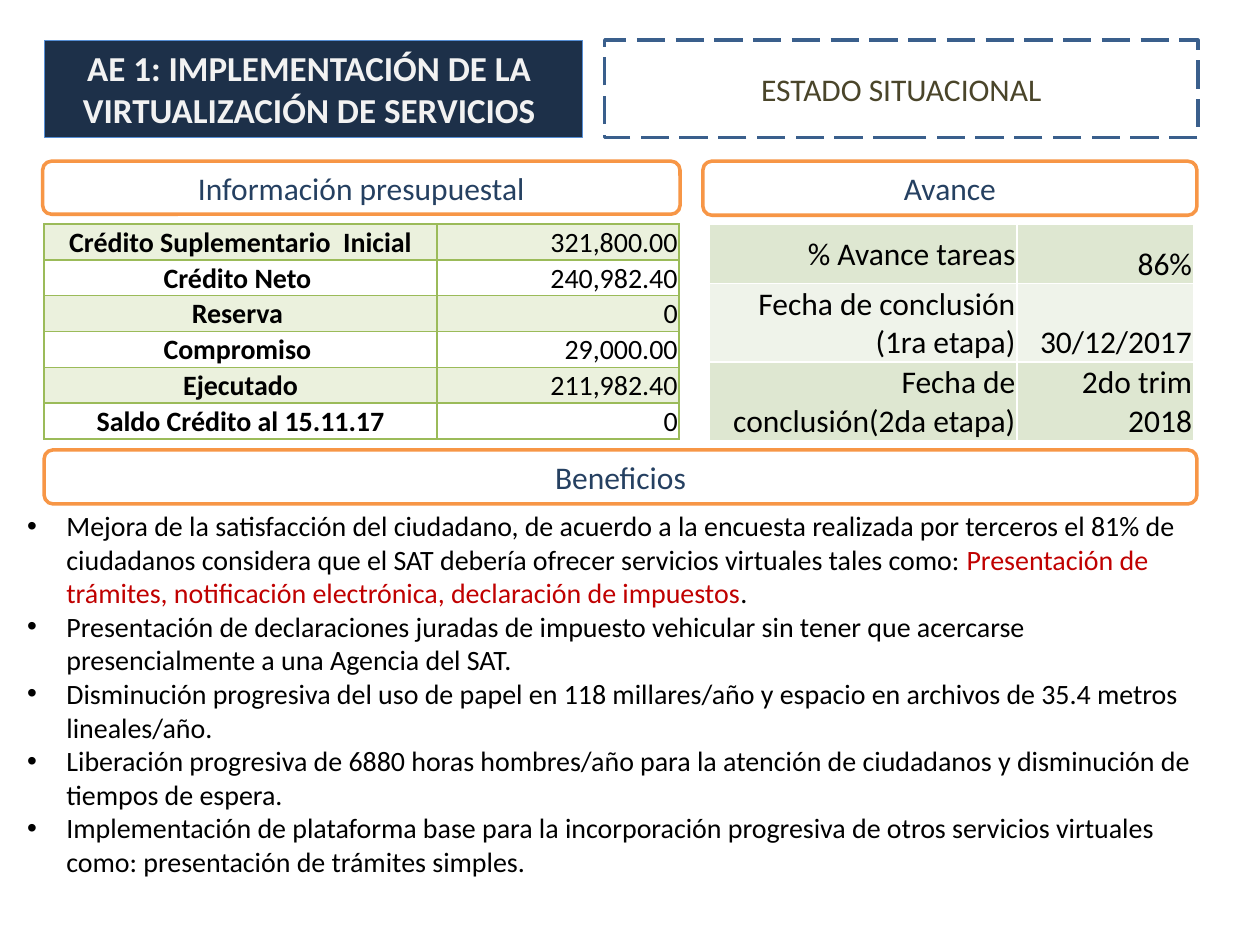
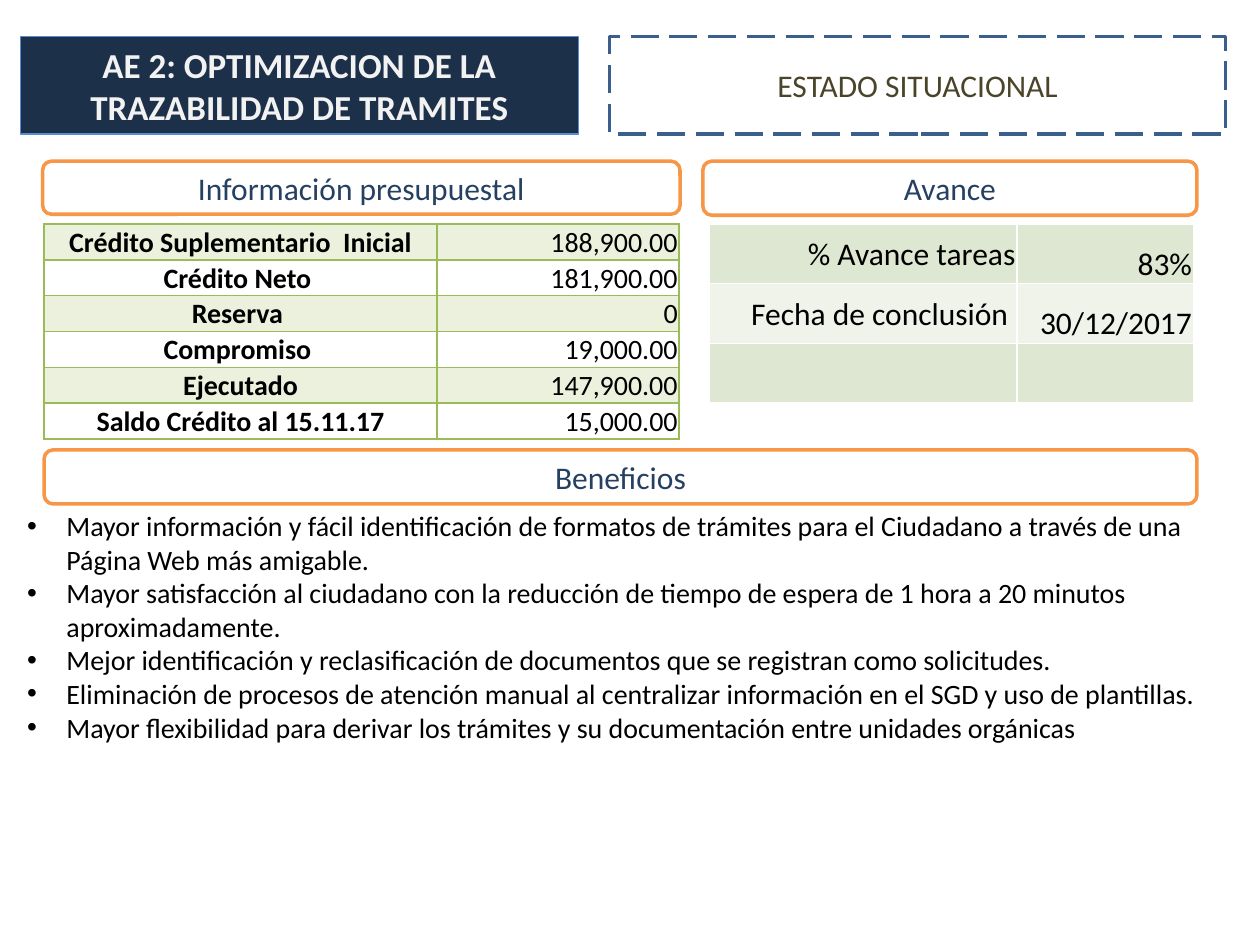
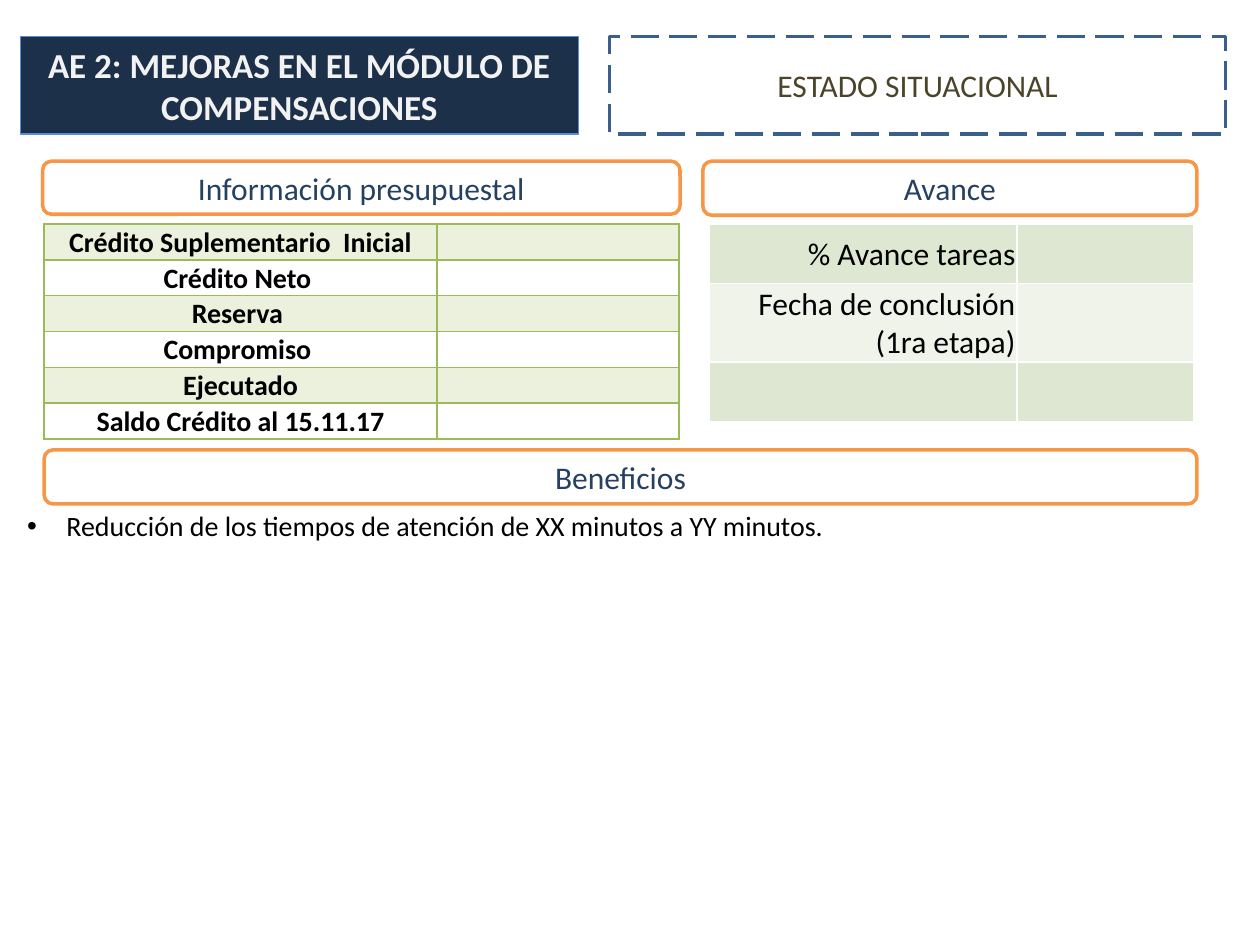
from lxml.etree import SubElement as Sub
from pptx import Presentation
from pptx.dml.color import RGBColor as Rgb
from pptx.enum.dml import MSO_LINE as Dash
from pptx.enum.shapes import MSO_SHAPE as Form
from pptx.enum.text import MSO_ANCHOR as Anchor, MSO_AUTO_SIZE as Fit, PP_ALIGN as Align
from pptx.oxml import parse_xml
from pptx.oxml.ns import nsdecls, qn
from pptx.util import Cm, Pt

FONT = "Calibri"
HUES = {
    "navy": "0F243E", "edge": "558ED5", "pale": "F2F2F2", "dash": "3A5F8C",
    "olive": "4A452A", "orange": "F79646", "blue": "254061", "green": "9BBB59",
    "sage": "DEE7D1", "mist": "EFF3EA", "white": "FFFFFF", "black": "000000",
    "red": "C00000",
}
FIRST = ((0.89, 0.81, 10.85, 1.96), (12.19, 0.81, 11.96, 1.96))
LATER = ((0.41, 0.74, 11.25, 1.96), (12.29, 0.74, 12.42, 1.96))
HEADS = (
    ("Información presupuestal", (0.86, 3.25, 12.85, 1.07)),
    ("Avance", (14.17, 3.25, 9.96, 1.09)),
    ("Beneficios", (0.89, 9.07, 23.24, 1.09)),
)
ITEMS = ("Crédito Suplementario  Inicial", "Crédito Neto ", "Reserva ",
         "Compromiso ", "Ejecutado", "Saldo Crédito al 15.11.17")
TASKS = "% Avance tareas"
STAGE = "Fecha de conclusión (1ra etapa)"

SLIDES = (
    {
        "tops": FIRST,
        "title": ("AE 1: IMPLEMENTACIÓN DE LA ", "VIRTUALIZACIÓN DE SERVICIOS "),
        "sums": ("321,800.00", "240,982.40", "0", "29,000.00", "211,982.40", "0"),
        "steps": ((TASKS, "86%"), (STAGE, "30/12/2017"),
                  ("Fecha de conclusión(2da etapa)", "2do trim 2018")),
        "tall": 7.95,
        "gains": (
            (("Mejora de la satisfacción del ciudadano, de acuerdo a la encuesta realizada por terceros el 81% de ciudadanos considera que el SAT debería ofrecer servicios virtuales tales como: ", "black"),
             ("Presentación de trámites, notificación electrónica, declaración de impuestos", "red"),
             (".", "black")),
            (("Presentación de declaraciones juradas de impuesto vehicular sin tener que acercarse presencialmente a una Agencia del SAT.", "black"),),
            (("Disminución progresiva del uso de papel en 118 millares/año y espacio en archivos de 35.4 metros lineales/año.", "black"),),
            (("Liberación progresiva de 6880 horas hombres/año para la atención de ciudadanos y disminución de tiempos de espera.", "black"),),
            (("Implementación de plataforma base para la incorporación progresiva de otros servicios virtuales como: presentación de trámites simples.", "black"),),
        ),
    },
    {
        "tops": LATER,
        "title": ("AE 2: OPTIMIZACION DE LA TRAZABILIDAD DE TRAMITES",),
        "sums": ("188,900.00", "181,900.00", "0", "19,000.00", "147,900.00", "15,000.00"),
        "steps": ((TASKS, "83%"), ("Fecha de conclusión ", "30/12/2017"), ("", "")),
        "tall": 5.05,
        "gains": (
            (("Mayor información y fácil identificación de formatos de trámites para el Ciudadano a través de una Página Web más amigable.", "black"),),
            (("Mayor satisfacción al ciudadano con la reducción de tiempo de espera de 1 hora a 20 minutos aproximadamente.", "black"),),
            (("Mejor identificación y reclasificación de documentos que se registran como solicitudes.", "black"),),
            (("Eliminación de procesos de atención manual al centralizar información en el SGD y uso de plantillas.", "black"),),
            (("Mayor flexibilidad para derivar los trámites y su documentación entre unidades orgánicas", "black"),),
        ),
    },
    {
        "tops": LATER,
        "title": ("AE 2: MEJORAS EN EL MÓDULO DE COMPENSACIONES",),
        "sums": ("",) * 6,
        "steps": ((TASKS, ""), (STAGE, ""), ("", "")),
        "tall": 0.94,
        "gains": ((("Reducción de los tiempos de atención de XX minutos a YY minutos.", "black"),),),
    },
)


def hue(name):
    """Return the named colour."""
    return Rgb.from_string(HUES[name])


def place(box):
    """Turn a box in centimetres into lengths."""
    return [Cm(n) for n in box]


def write(para, text, size, tint, bold=False):
    """Add one formatted run to a paragraph."""
    run = para.add_run()
    run.text = text
    font = run.font
    font.name, font.size, font.bold = FONT, Pt(size), bold
    font.color.rgb = hue(tint)


def paint(fill, tint, props, alpha=100):
    """Fill with a colour, partly transparent if alpha is below 100."""
    fill.solid()
    fill.fore_color.rgb = hue(tint)
    if alpha < 100:
        Sub(props.find(qn("a:solidFill"))[0], qn("a:alpha"), val=str(alpha * 1000))


def rule(line, tint, width):
    """Set the colour and width of an outline."""
    line.color.rgb = hue(tint)
    line.width = Pt(width)


def head(slide, lines, box):
    """Format the title as a dark panel."""
    title = slide.shapes.title
    title.left, title.top, title.width, title.height = place(box)
    paint(title.fill, "navy", title._element.spPr, 94)
    rule(title.line, "edge", 0.75)
    frame = title.text_frame
    frame.auto_size, frame.word_wrap = Fit.NONE, True
    frame.vertical_anchor = Anchor.MIDDLE
    for i, text in enumerate(lines):
        para = frame.add_paragraph() if i else frame.paragraphs[0]
        para.alignment = Align.CENTER
        write(para, text, 20, "pale", True)


def panel(slide, form, text, box, tint, edge):
    """Add an outlined shape with a centred label."""
    shape = slide.shapes.add_shape(form, *place(box))
    shape.shadow.inherit = False
    rule(shape.line, edge, 2)
    frame = shape.text_frame
    frame.word_wrap, frame.vertical_anchor = True, Anchor.MIDDLE
    para = frame.paragraphs[0]
    para.alignment = Align.CENTER
    write(para, text, 18, tint)
    return shape


def state(slide, box):
    """Add the dashed status frame."""
    shape = panel(slide, Form.RECTANGLE, "ESTADO SITUACIONAL", box, "olive", "dash")
    shape.fill.background()
    shape.line.dash_style = Dash.LONG_DASH


def label(slide, text, box):
    """Add a rounded section heading."""
    shape = panel(slide, Form.ROUNDED_RECTANGLE, text, box, "blue", "orange")
    paint(shape.fill, "white", shape._element.spPr)


def border(props, tint):
    """Draw all four borders of a cell."""
    for i, side in enumerate(("lnL", "lnR", "lnT", "lnB")):
        props.insert(i, parse_xml(
            f'<a:{side} {nsdecls("a")} w="12700"><a:solidFill>'
            f'<a:srgbClr val="{HUES[tint]}"/></a:solidFill></a:{side}>'))


def grid(slide, rows, spot, cols, high, size, aligns, bold, fills, edge):
    """Add a two-column table with alternating row fills."""
    box = (*spot, sum(cols), high * len(rows))
    table = slide.shapes.add_table(len(rows), len(cols), *place(box)).table
    table.first_row = table.horz_banding = False
    for col, wide in zip(table.columns, cols):
        col.width = Cm(wide)
    for r, row in enumerate(rows):
        table.rows[r].height = Cm(high)
        for c, text in enumerate(row):
            cell = table.cell(r, c)
            cell.margin_left = cell.margin_right = cell.margin_top = Cm(0.03)
            cell.margin_bottom = 0
            cell.vertical_anchor = Anchor.BOTTOM if c else Anchor.MIDDLE
            props = cell._tc.get_or_add_tcPr()
            tint, alpha = fills[r % 2]
            if alpha:
                paint(cell.fill, tint, props, alpha)
            else:
                cell.fill.background()
            border(props, edge)
            para = cell.text_frame.paragraphs[0]
            para.alignment = aligns[c]
            if text:
                write(para, text, size, "black", bold and c == 0)
            else:
                para._p.get_or_add_endParaRPr().set("sz", str(size * 100))


def points(slide, items, tall):
    """Add the bulleted list of benefits."""
    box = slide.shapes.add_textbox(*place((0.3, 10.13, 24.21, tall)))
    frame = box.text_frame
    frame.word_wrap, frame.auto_size = True, Fit.SHAPE_TO_FIT_TEXT
    for i, runs in enumerate(items):
        para = frame.add_paragraph() if i else frame.paragraphs[0]
        props = para._p.get_or_add_pPr()
        props.set("marL", str(Cm(0.79)))
        props.set("indent", str(-Cm(0.79)))
        Sub(props, qn("a:buFont"), typeface="Arial")
        Sub(props, qn("a:buChar"), char="•")
        for text, tint in runs:
            write(para, text, 16, tint)


def build(deck, data):
    """Add one project slide."""
    slide = deck.slides.add_slide(deck.slide_layouts[5])
    left, right = data["tops"]
    head(slide, data["title"], left)
    state(slide, right)
    grid(slide, tuple(zip(ITEMS, data["sums"])), (0.89, 4.52), (7.92, 4.88), 0.7,
         16, (Align.CENTER, Align.RIGHT), True, (("green", 20), ("white", 0)), "green")
    grid(slide, data["steps"], (14.3, 4.52), (6.2, 3.56), 1.2,
         18, (Align.RIGHT, Align.RIGHT), False, (("sage", 100), ("mist", 100)), "white")
    points(slide, data["gains"], data["tall"])
    for text, box in HEADS:
        label(slide, text, box)


def main():
    """Build and save the deck."""
    deck = Presentation()
    deck.slide_width, deck.slide_height = Cm(25.4), Cm(19.05)
    for data in SLIDES:
        build(deck, data)
    deck.save("out.pptx")


if __name__ == "__main__":
    main()
